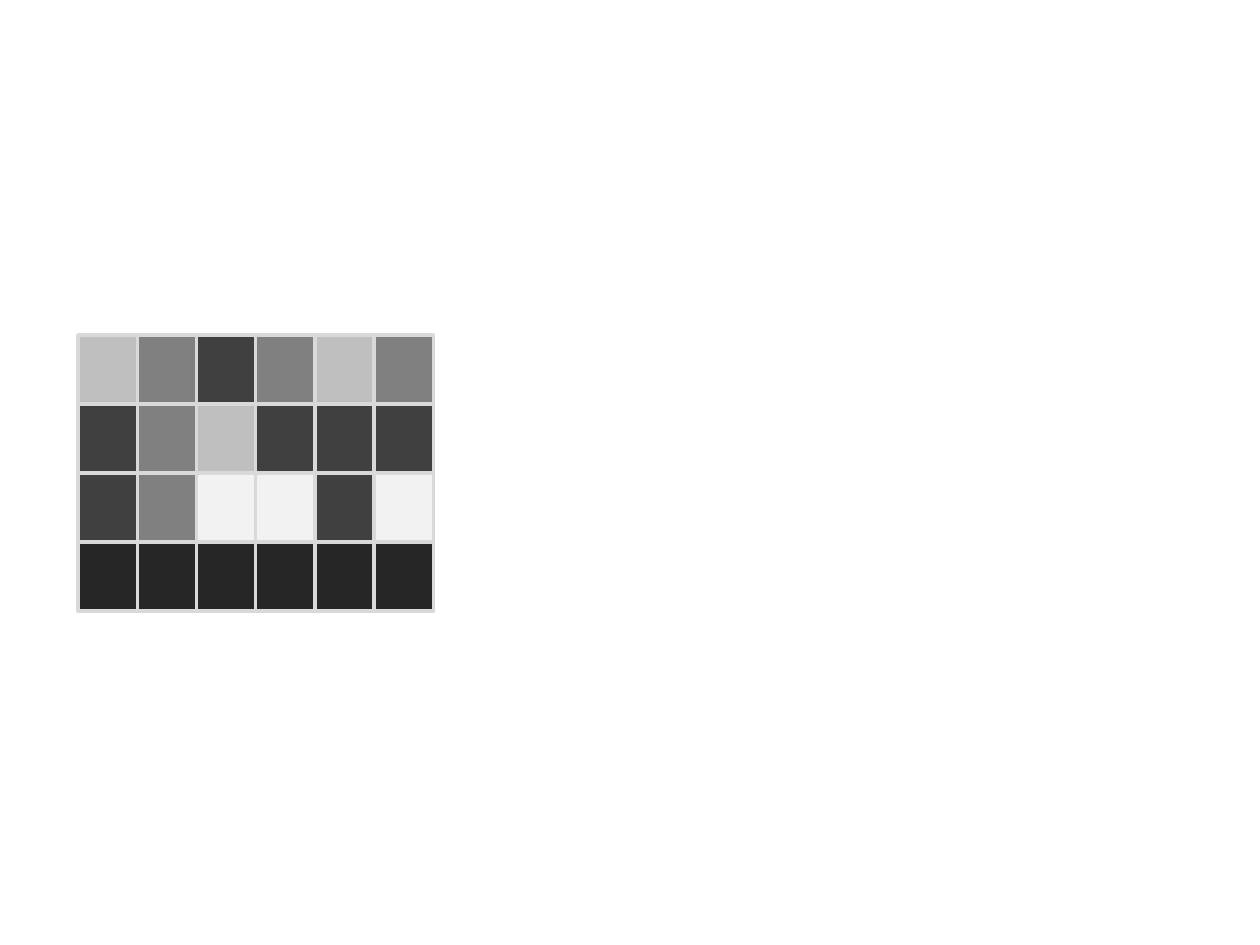
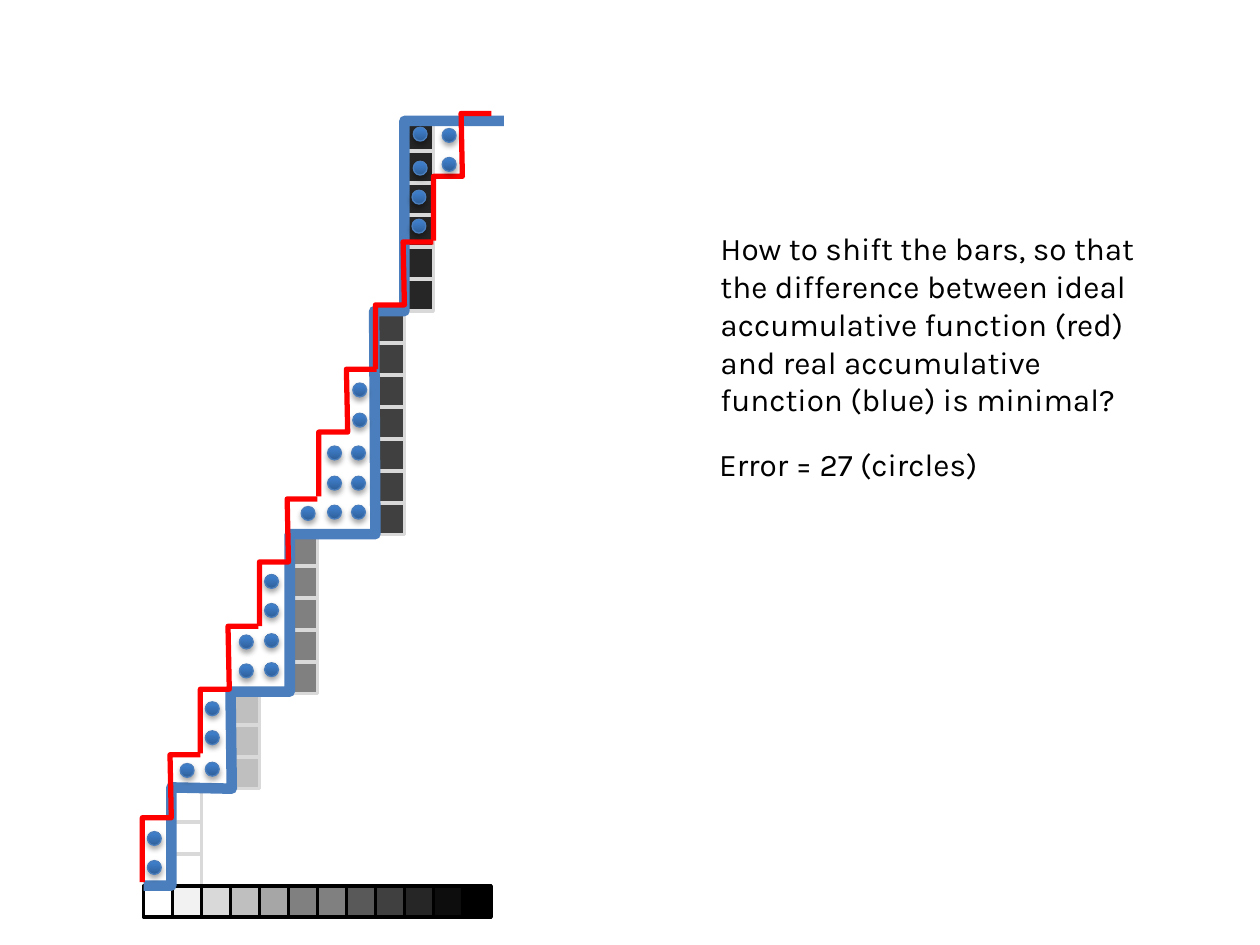
import pptx
import pptx.dml.color
import pptx.enum.shapes
import pptx.enum.text
import pptx.oxml
import pptx.oxml.ns
import pptx.util

Inches = pptx.util.Inches
Pt = pptx.util.Pt
SHAPES = pptx.enum.shapes.MSO_SHAPE

# Shared colours and formats
COLORS = {
    "white": "FFFFFF", "mist": "F2F2F2", "pale": "D9D9D9", "light": "BFBFBF",
    "silver": "A6A6A6", "mid": "808080", "slate": "595959", "dark": "404040",
    "coal": "262626", "ink": "0D0D0D", "black": "000000",
    "real": "4B7EBC", "ideal": "FF0000",
    "dot_low": "2F5F99", "dot_mid": "3D7CC7", "dot_high": "3A7CCB",
}
NOTE_FONT = {"name": "Karla", "size": Pt(18)}
NOTE_FRAME = {"word_wrap": True,
              "auto_size": pptx.enum.text.MSO_AUTO_SIZE.SHAPE_TO_FIT_TEXT}

# Slide 1: grey levels of the small image, row by row
PIXELS = [
    ["light", "mid", "dark", "mid", "light", "mid"],
    ["dark", "mid", "light", "dark", "dark", "dark"],
    ["dark", "mid", "mist", "mist", "dark", "mist"],
    ["coal"] * 6,
]
PIXELS_LEFT, PIXELS_TOP = 0.62, 2.66
PIXEL_WIDTH, PIXEL_HEIGHT = 2.82 / 6, 2.19 / 4

# Slide 2: grey scale, and bars standing in its columns
SCALE = ["white", "mist", "pale", "light", "silver", "mid", "mid", "slate",
         "dark", "coal", "ink", "black"]
SCALE_LEFT, SCALE_TOP = 1.14, 7.03
CELL_WIDTH, CELL_HEIGHT = 0.23, 0.25
BAR_PITCH = 1.27 / 5
BARS = [  # column, top, cells, colour
    (1, 6.27, 3, "white"),
    (5, 4.24, 5, "mid"),
    (3, 5.50, 3, "light"),
    (8, 2.47, 7, "dark"),
    (9, 0.95, 6, "coal"),
]
REAL_FUNCTION = [
    (1.14, 7.03), (1.36, 7.03), (1.36, 6.25), (1.84, 6.26), (1.83, 5.49),
    (2.3, 5.49), (2.3, 4.24), (2.98, 4.24), (2.97, 2.47), (3.21, 2.47),
    (3.21, 0.96), (4, 0.96),
]
DOUBLE_STEP = [(0, 0), (0, -0.51), (0.23, -0.51), (0.22, -1.01), (0.46, -1.01)]
STEP_STARTS = [(1.13, 7), (1.59, 5.98), (2.06, 4.97), (2.53, 3.94),
               (2.98, 2.93), (3.44, 1.91)]
DOT_SIZE = 0.11
ERROR_DOTS = [  # left, tops
    (1.17, [6.83, 6.6]),
    (1.43, [6.06]),
    (1.63, [6.05, 5.8, 5.57]),
    (1.9, [5.27, 5.04]),
    (2.1, [5.26, 5.03, 4.79, 4.56]),
    (2.39, [4.02]),
    (2.6, [4.01, 3.78, 3.54]),
    (2.79, [4.01, 3.78, 3.54]),
    (2.8, [3.28, 3.04]),
    (3.27, [1.74, 1.51]),
    (3.28, [1.28, 1.01]),
    (3.51, [1.25, 1.02]),
]
NOTES = [  # left, top, width, height, text
    (5.62, 1.77, 3.54, 1.62,
     "How to shift the bars, so that the difference between ideal accumulative "
     "function (red) and real accumulative function (blue) is minimal?"),
    (5.61, 3.48, 3.54, 0.4, "Error = 27 (circles)"),
]

NAMESPACE = pptx.oxml.ns.nsdecls("a")
DOT_FILL = (
    f'<a:gradFill {NAMESPACE} rotWithShape="1"><a:gsLst>'
    + "".join(f'<a:gs pos="{pos}"><a:srgbClr val="{COLORS[name]}"/></a:gs>'
              for pos, name in [(0, "dot_low"), (80000, "dot_mid"),
                                (100000, "dot_high")])
    + '</a:gsLst><a:lin ang="16200000" scaled="0"/></a:gradFill>'
)
DOT_SHADOW = (
    f'<a:outerShdw {NAMESPACE} blurRad="{Pt(3.1)}" dist="{Pt(1.8)}" '
    'dir="5400000" rotWithShape="0">'
    f'<a:srgbClr val="{COLORS["black"]}"><a:alpha val="35000"/></a:srgbClr>'
    '</a:outerShdw>'
)


def rgb(name):
    return pptx.dml.color.RGBColor.from_string(COLORS[name])


def set_line(shape, color, width):
    shape.shadow.inherit = False
    shape.line.color.rgb = rgb(color)
    shape.line.width = Pt(width)


def add_cell(shapes, left, top, width, height, fill, line="pale"):
    cell = shapes.add_shape(SHAPES.RECTANGLE, *map(Inches, (left, top, width, height)))
    cell.fill.solid()
    cell.fill.fore_color.rgb = rgb(fill)
    set_line(cell, line, 2)


def add_steps(shapes, points, color, width):
    start, *corners = [(Inches(x), Inches(y)) for x, y in points]
    builder = shapes.build_freeform(*start)
    builder.add_line_segments(corners, close=False)
    steps = builder.convert_to_shape()
    steps.fill.background()
    set_line(steps, color, width)
    steps.line._get_or_add_ln().append(
        pptx.oxml.parse_xml(f"<a:round {NAMESPACE}/>"))


def add_dot(shapes, left, top):
    dot = shapes.add_shape(SHAPES.OVAL, *map(Inches, (left, top, DOT_SIZE, DOT_SIZE)))
    set_line(dot, "real", 0.75)
    properties = dot.element.spPr
    properties.insert(2, pptx.oxml.parse_xml(DOT_FILL))
    effects = properties.find(pptx.oxml.ns.qn("a:effectLst"))
    effects.append(pptx.oxml.parse_xml(DOT_SHADOW))


def add_note(shapes, left, top, width, height, text):
    note = shapes.add_textbox(*map(Inches, (left, top, width, height)))
    for name, value in NOTE_FRAME.items():
        setattr(note.text_frame, name, value)
    run = note.text_frame.paragraphs[0].add_run()
    run.text = text
    for name, value in NOTE_FONT.items():
        setattr(run.font, name, value)
    run.font.color.rgb = rgb("black")


def build_pixels(shapes):
    for row, levels in enumerate(PIXELS):
        for column, level in enumerate(levels):
            add_cell(shapes, PIXELS_LEFT + column * PIXEL_WIDTH,
                     PIXELS_TOP + row * PIXEL_HEIGHT,
                     PIXEL_WIDTH, PIXEL_HEIGHT, level)


def build_functions(shapes):
    # Bars and grey scale
    for column, top, count, level in BARS:
        bar = shapes.add_group_shape().shapes
        for index in range(count):
            add_cell(bar, SCALE_LEFT + column * CELL_WIDTH, top + index * BAR_PITCH,
                     CELL_WIDTH, CELL_HEIGHT, level)
    for column, level in enumerate(SCALE):
        add_cell(shapes, SCALE_LEFT + column * CELL_WIDTH, SCALE_TOP,
                 CELL_WIDTH, CELL_HEIGHT, level, "black")

    # Real and ideal accumulative functions
    add_steps(shapes, REAL_FUNCTION, "real", 6)
    ideal_function = shapes.add_group_shape().shapes
    for x, y in STEP_STARTS:
        add_steps(ideal_function, [(x + dx, y + dy) for dx, dy in DOUBLE_STEP],
                  "ideal", 3)

    # Error circles and notes
    for left, tops in ERROR_DOTS:
        for top in tops:
            add_dot(shapes, left, top)
    for note in NOTES:
        add_note(shapes, *note)


def main():
    deck = pptx.Presentation()
    deck.slide_width, deck.slide_height = Inches(10), Inches(7.5)
    blank = deck.slide_layouts[6]
    for build in (build_pixels, build_functions):
        build(deck.slides.add_slide(blank).shapes)
    deck.save("out.pptx")


if __name__ == "__main__":
    main()
